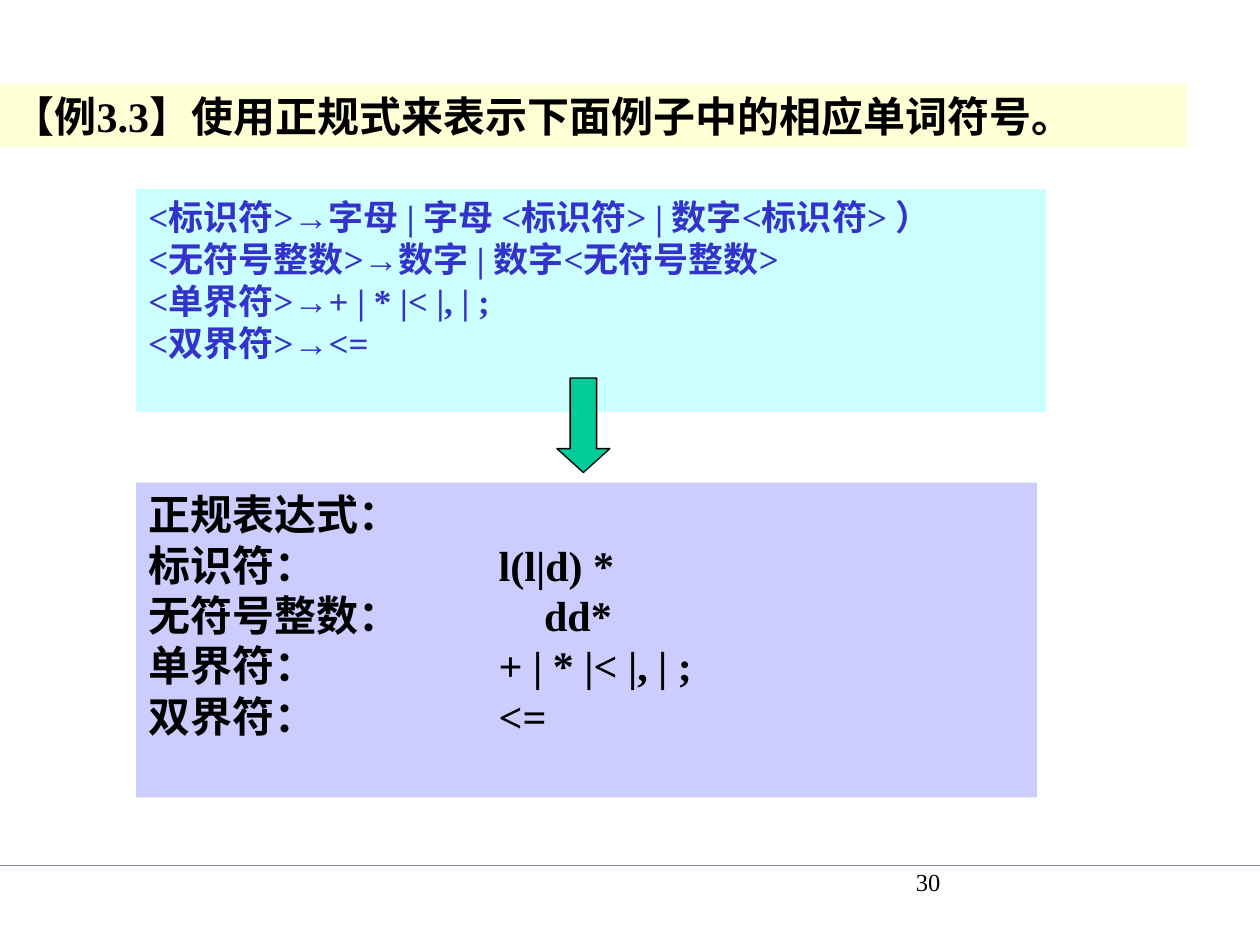
import pptx
import pptx.util
import pptx.dml.color
import pptx.enum.shapes
import pptx.enum.text
import pptx.oxml
import pptx.oxml.ns

FONT = "Times New Roman"
WIDTH, HEIGHT = 10, 7.5
LEFT = 1.08  # shared left edge of both panels

GRAMMAR = [
    "<标识符>→字母 | 字母 <标识符> | 数字<标识符> ）",
    "<无符号整数>→数字 | 数字<无符号整数>",
    "<单界符>→+ | * |< |, | ;",
    "<双界符>→<=",
]
# Label, expression, tab position of the expression in inches
EXPRESSIONS = [
    ("标识符：", "l(l|d) *", 2.78),
    ("无符号整数：", "dd*", 3.14),
    ("单界符：", "+ | * |< |, | ;", 2.78),
    ("双界符：", "<=", 2.78),
]


def color(value):
    return pptx.dml.color.RGBColor.from_string(value)


def inches(box):
    return [pptx.util.Inches(length) for length in box]


def paint(shape, fill, line=None):
    shape.fill.solid()
    shape.fill.fore_color.rgb = color(fill)
    if line:
        shape.line.color.rgb = color(line)
        shape.line.width = pptx.util.Pt(0.75)
    else:
        shape.line.fill.background()


def write(shape, lines, size, text_color, bold=True):
    frame = shape.text_frame
    frame.text = "\n".join(lines)
    frame.word_wrap = True
    frame.auto_size = pptx.enum.text.MSO_AUTO_SIZE.NONE
    frame.vertical_anchor = pptx.enum.text.MSO_ANCHOR.TOP
    for paragraph in frame.paragraphs:
        paragraph.alignment = pptx.enum.text.PP_ALIGN.LEFT
        for run in paragraph.runs:
            run.font.name = FONT
            run.font.size = pptx.util.Pt(size)
            run.font.bold = bold
            run.font.color.rgb = color(text_color)


def set_tab(paragraph, position):
    properties = paragraph._p.get_or_add_pPr()
    tabs = pptx.oxml.parse_xml(
        f'<a:tabLst {pptx.oxml.ns.nsdecls("a")}>'
        f'<a:tab pos="{pptx.util.Inches(position)}" algn="l"/></a:tabLst>')
    properties.append(tabs)


def add_title(slide, box):
    title = slide.shapes.title
    title.left, title.top, title.width, title.height = inches(box)
    paint(title, "FFFFD5")
    write(title, ["【例3.3】使用正规式来表示下面例子中的相应单词符号。"], 24, "000000")
    title.text_frame.paragraphs[0].alignment = pptx.enum.text.PP_ALIGN.JUSTIFY


def add_shape(slide, kind, box, fill, line=None):
    shape = slide.shapes.add_shape(kind, *inches(box))
    shape.shadow.inherit = False
    paint(shape, fill, line)
    return shape


def add_panel(slide, box, fill, lines, size, text_color):
    panel = add_shape(slide, pptx.enum.shapes.MSO_SHAPE.RECTANGLE, box, fill)
    write(panel, lines, size, text_color)
    return panel


def add_expressions(slide, box):
    lines = ["正规表达式："] + [f"{label}\t{text}" for label, text, _ in EXPRESSIONS]
    panel = add_panel(slide, box, "CCCCFF", lines, 24, "000000")
    for paragraph, (_, _, tab) in zip(panel.text_frame.paragraphs[1:], EXPRESSIONS):
        set_tab(paragraph, tab)


def add_arrow(slide, box):
    arrow = add_shape(slide, pptx.enum.shapes.MSO_SHAPE.DOWN_ARROW, box, "00CC99", "000000")
    arrow.adjustments[0] = 0.5
    arrow.adjustments[1] = 0.45


def add_footer(slide, top):
    rule = slide.shapes.add_connector(
        pptx.enum.shapes.MSO_CONNECTOR.STRAIGHT, *inches((0, top, WIDTH, top)))
    rule.line.color.rgb = color("00CC99")
    rule.line.width = pptx.util.Pt(0.75)
    rule._element.spPr.append(
        pptx.oxml.parse_xml(f'<a:effectLst {pptx.oxml.ns.nsdecls("a")}/>'))
    number = slide.shapes.add_textbox(*inches((7.17, top - 0.04, 2.08, 0.5)))
    write(number, ["30"], 14, "000000", bold=False)


def main():
    presentation = pptx.Presentation()
    presentation.slide_width, presentation.slide_height = inches((WIDTH, HEIGHT))
    slide = presentation.slides.add_slide(presentation.slide_layouts.get_by_name("Title Only"))

    # Heading band
    add_title(slide, (0, 0.67, 9.42, 0.5))
    # Grammar rules, and the regular expressions they turn into
    add_panel(slide, (LEFT, 1.5, 7.22, 1.77), "CCFFFF", GRAMMAR, 20, "3333CC")
    add_expressions(slide, (LEFT, 3.83, 7.15, 2.5))
    add_arrow(slide, (4.42, 3, 0.42, 0.75))
    # Rule and page number
    add_footer(slide, 6.87)

    presentation.save("out.pptx")


if __name__ == "__main__":
    main()
